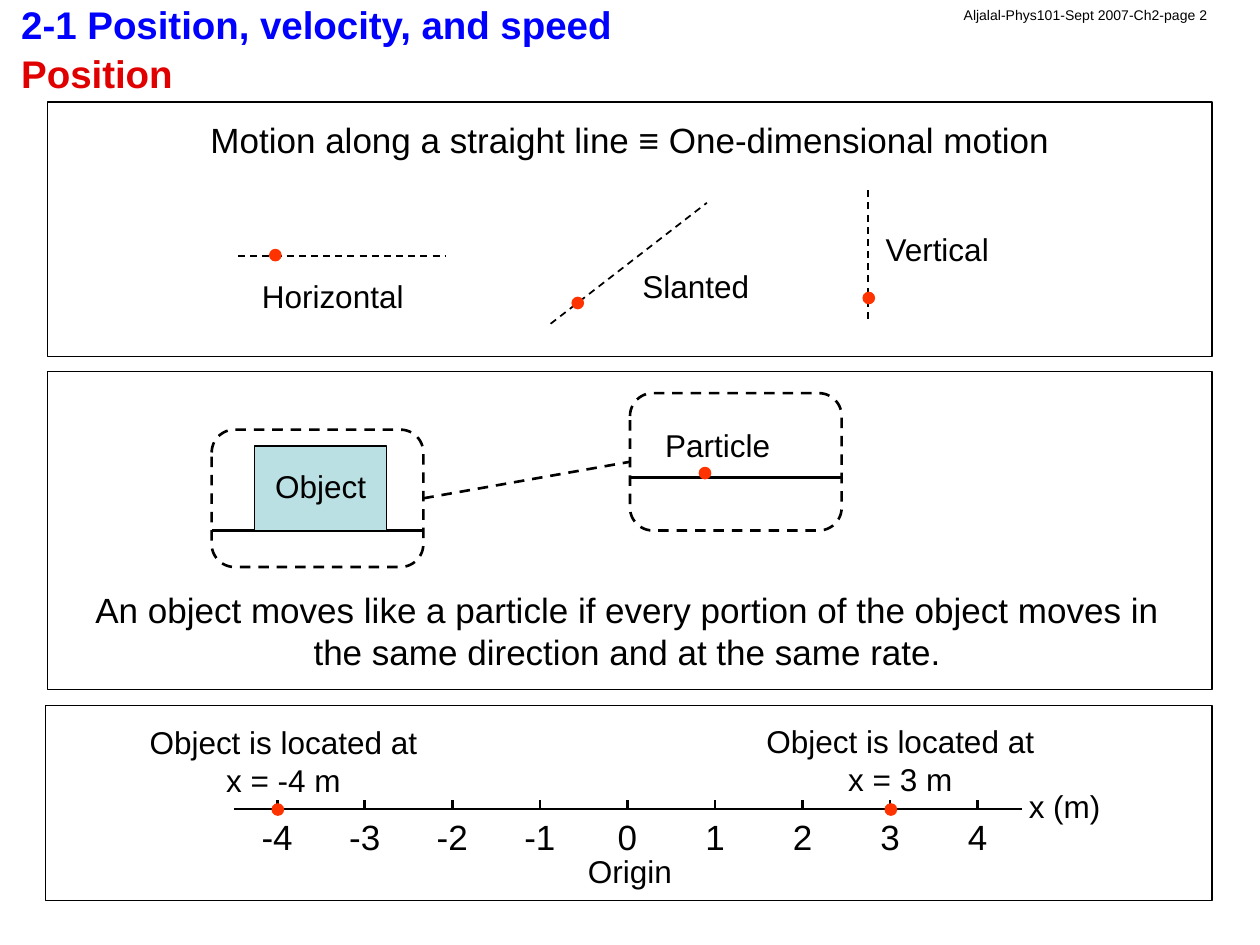
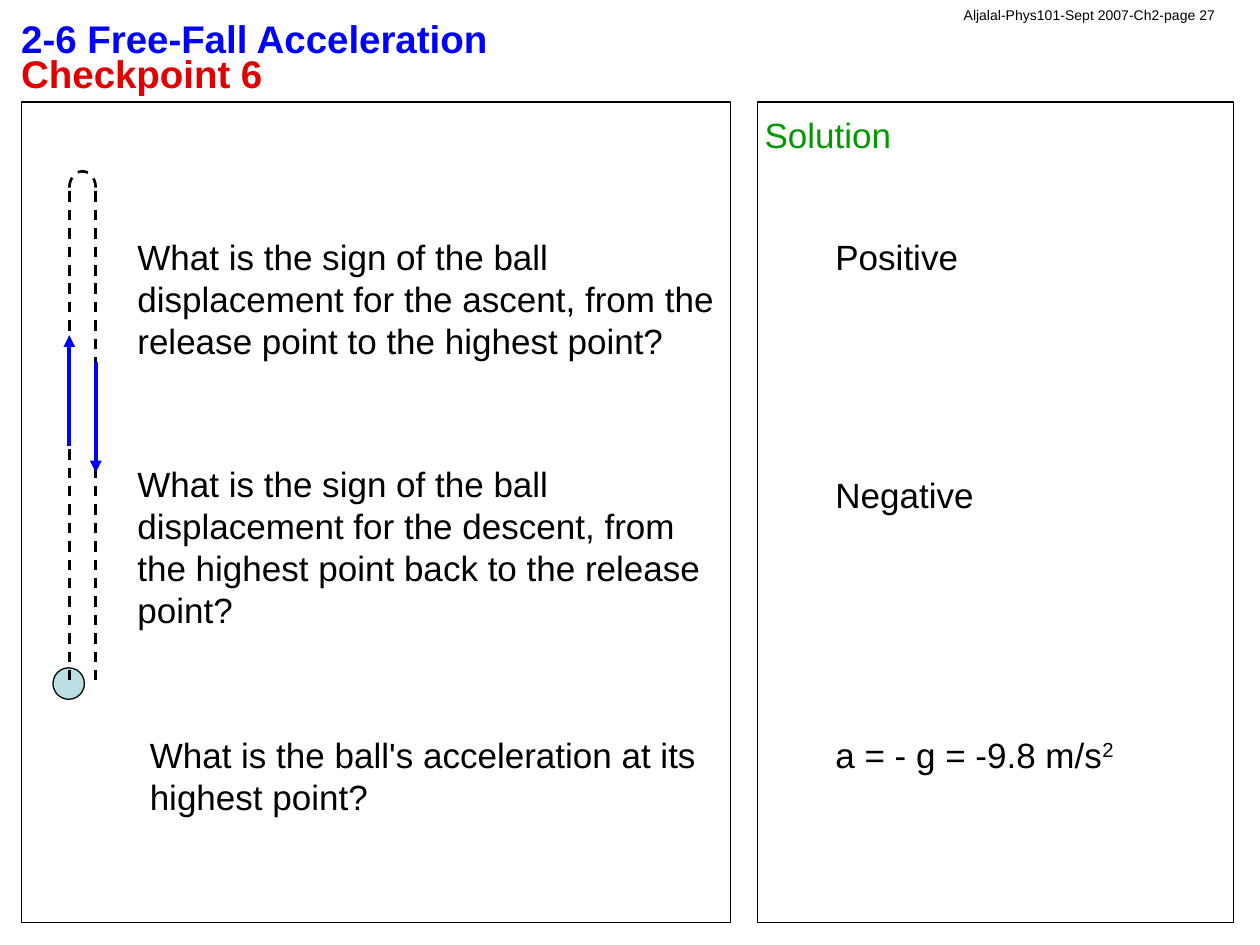
from lxml import etree
from pptx import Presentation
from pptx.dml.color import RGBColor
from pptx.enum.dml import MSO_LINE
from pptx.enum.shapes import MSO_CONNECTOR, MSO_SHAPE
from pptx.enum.text import MSO_AUTO_SIZE, PP_ALIGN
from pptx.oxml.ns import qn
from pptx.util import Inches, Pt

RECT, ROUND = MSO_SHAPE.RECTANGLE, MSO_SHAPE.ROUNDED_RECTANGLE
OVAL, ARC = MSO_SHAPE.OVAL, MSO_SHAPE.ARC
DASH, SOLID = MSO_LINE.DASH, MSO_LINE.SOLID
LEFT, MID = PP_ALIGN.LEFT, PP_ALIGN.CENTER
STRAIGHT, GROW = MSO_CONNECTOR.STRAIGHT, MSO_AUTO_SIZE.SHAPE_TO_FIT_TEXT
HUES = {"ink": "000000", "blue": "0000FF", "red": "E10000",
        "green": "009900", "dot": "FF3300", "pale": "BBE0E3"}


class Deck:
    """Hold the style and the current slide, and draw each kind of element."""

    def __init__(self):
        self.show = Presentation()
        self.show.slide_width, self.show.slide_height = Inches(10), Inches(7.5)
        self.slide = None

    def page(self, number, title, topic, top):
        self.slide = self.show.slides.add_slide(self.show.slide_layouts[6])
        self.text(f"Aljalal-Phys101-Sept 2007-Ch2-page {number}", 7.55, 0, 2.4, 0.24, size=8)
        for words, y, hue in ((title, top, "blue"), (topic, 0.35, "red")):
            self.text(words, 0.07, y, 9.72, 0.47, size=22, hue=hue, bold=True)

    def text(self, words, x, y, w, h, size=20, hue="ink", align=LEFT, bold=False, pad=0.1, power=""):
        box = self.slide.shapes.add_textbox(*map(Inches, (x, y, w, h)))
        frame = box.text_frame
        form = {"word_wrap": True, "auto_size": GROW,
                "margin_left": Inches(pad), "margin_right": Inches(pad)}
        for key, value in form.items():
            setattr(frame, key, value)
        para = frame.paragraphs[0]
        para.alignment = align
        for part in filter(None, (words, power)):
            run = para.add_run()
            run.text = part
            for key, value in {"name": "Arial", "size": Pt(size), "bold": bold}.items():
                setattr(run.font, key, value)
            run.font.color.rgb = RGBColor.from_string(HUES[hue])
        if power:
            run.font._element.set("baseline", "30000")

    def pen(self, line, hue, width, dash):
        line.color.rgb = RGBColor.from_string(HUES[hue])
        for key, value in {"width": Pt(width), "dash_style": dash}.items():
            setattr(line, key, value)

    def shape(self, kind, x, y, w, h, fill=None, hue="ink", width=0.75, dash=SOLID):
        form = self.slide.shapes.add_shape(kind, *map(Inches, (x, y, w, h)))
        form.shadow.inherit = False
        if fill:
            form.fill.solid()
            form.fill.fore_color.rgb = RGBColor.from_string(HUES[fill])
        else:
            form.fill.background()
        self.pen(form.line, hue, width, dash)
        return form

    def dot(self, x, y):
        self.shape(OVAL, x - 0.04, y - 0.04, 0.09, 0.09, "dot", "dot")

    def line(self, x, y, to_x, to_y, hue="ink", width=1.5, dash=SOLID, arrow=False):
        link = self.slide.shapes.add_connector(STRAIGHT, *map(Inches, (x, y, to_x, to_y)))
        self.pen(link.line, hue, width, dash)
        props = link._element.spPr
        if arrow:
            etree.SubElement(props.find(qn("a:ln")), qn("a:tailEnd"), type="triangle")
        etree.SubElement(props, qn("a:effectLst"))
        return link


def motion(deck):
    """Draw the slide on position."""
    deck.page(2, "2-1 Position, velocity, and speed", "Position", -0.04)
    for x, y, w, h in ((0.38, 0.81, 9.24, 2.02), (0.38, 2.95, 9.24, 2.52), (0.36, 5.6, 9.26, 1.55)):
        deck.shape(RECT, x, y, w, h)

    deck.text("Motion along a straight line ≡ One-dimensional motion", 1.39, 0.89, 7.22, 0.44, align=MID)
    tracks = (("Horizontal", 1.98, 2.15, (1.89, 2.03, 3.53, 2.03), (2.18, 2.02)),
              ("Slanted", 5, 2.07, (4.37, 2.57, 5.61, 1.61), (4.58, 2.4)),
              ("Vertical", 6.93, 1.78, (6.89, 2.53, 6.89, 1.48), (6.89, 2.36)))
    for name, x, y, ends, spot in tracks:
        deck.text(name, x, y, 1.47, 0.4, size=18)
        deck.line(*ends, width=1, dash=DASH)
        deck.dot(*spot)

    frames = []
    for x, y, floor in ((1.68, 3.41, 4.21), (5, 3.12, 3.79)):
        deck.line(x, floor, x + 1.68, floor)
        frames.append(deck.shape(ROUND, x, y, 1.68, 1.09, width=1.5, dash=DASH))
    link = deck.line(3.36, 3.96, 5, 3.66, dash=DASH)
    link.begin_connect(frames[0], 3)
    link.end_connect(frames[1], 1)
    deck.shape(RECT, 2.02, 3.54, 1.05, 0.67, "pale")
    deck.text("Object", 2.02, 3.66, 1.05, 0.4, size=18, align=MID)
    deck.text("Particle", 5.17, 3.33, 1.05, 0.4, size=18, align=MID)
    deck.dot(5.59, 3.75)
    deck.text("An object moves like a particle if every portion of the object moves in "
              "the same direction and at the same rate.", 0.55, 4.62, 8.86, 0.77, align=MID)

    zero, gap, axis = 4.98, 5.56 / 8, 6.42
    deck.line(1.86, axis, 8.11, axis)
    for mark in range(-4, 5):
        x = zero + mark * gap
        deck.line(x, axis, x, axis - 0.07)
        deck.text(str(mark), x - 0.28, axis, 0.56, 0.44, align=MID)
    for mark, x, y, w in ((-4, 1.01, 5.69, 2.48), (3, 5.97, 5.68, 2.35)):
        deck.text(f"Object is located at x = {mark} m", x, y, w, 0.7, size=18, align=MID)
        deck.dot(zero + mark * gap, axis)
    deck.text("x (m)", 8.03, 6.2, 0.84, 0.4, size=18, align=MID)
    deck.text("Origin", 4.56, 6.71, 0.88, 0.4, size=18, align=MID)


def fall(deck):
    """Draw the slide on free fall."""
    deck.page(27, "2-6 Free-Fall Acceleration", "Checkpoint 6", 0.07)
    for x, w in ((0.17, 5.63), (6.01, 3.78)):
        deck.shape(RECT, x, 0.81, w, 6.51)
    deck.text("Solution", 5.97, 0.85, 1.3, 0.44, hue="green")

    up, down = 0.55, 0.76
    deck.shape(OVAL, 0.42, 5.3, 0.25, 0.25, "pale")
    for x, start, end in ((up, 3.54, 2.66), (down, 2.87, 3.75)):
        deck.line(x, 1.52, x, 5.43, dash=DASH)
        deck.line(x, start, x, end, "blue", 2.25, arrow=True)
    bend = deck.shape(ARC, up, 1.36, down - up, 0.26, width=1.5, dash=DASH)
    bend.adjustments[0] = 108

    asks = (("What is the sign of the ball displacement for the ascent, "
             "from the release point to the highest point?", 1.82, 1.1, 0),
            ("What is the sign of the ball displacement for the descent, "
             "from the highest point back to the release point?", 3.62, 1.44, 0),
            ("What is the ball's acceleration at its highest point?", 5.77, 0.77, 0.1))
    for words, y, h, pad in asks:
        deck.text(words, 1.09, y, 4.65, h, pad=pad)
    for words, y, power in (("Positive", 1.82, ""), ("Negative", 3.71, ""),
                            ("a = - g = -9.8 m/s", 5.77, "2")):
        deck.text(words, 6.63, y, 2.69, 0.44, pad=0, power=power)


def main():
    """Build both slides and save them."""
    deck = Deck()
    motion(deck)
    fall(deck)
    deck.show.save("out.pptx")


if __name__ == "__main__":
    main()
